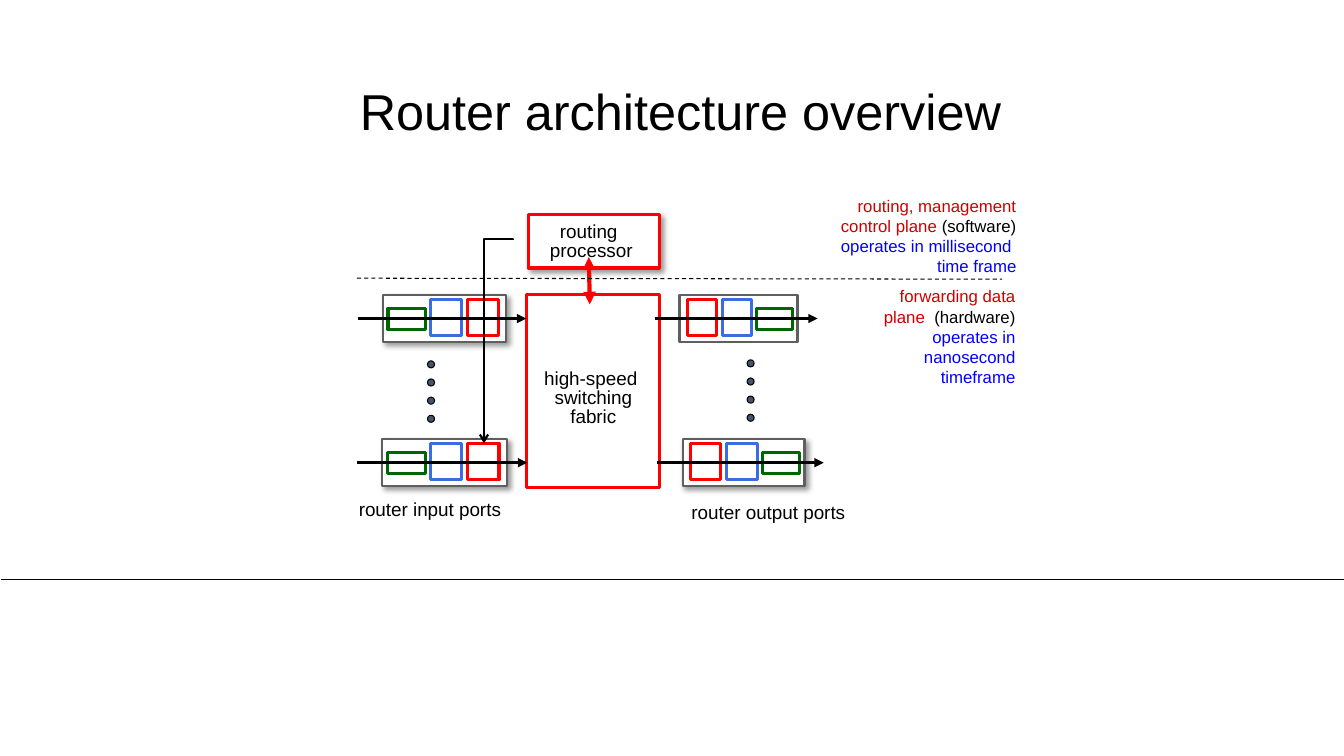
"""Build the router architecture overview slide."""
import pptx
import pptx.dml.color
import pptx.enum.dml
import pptx.enum.shapes
import pptx.enum.text
import pptx.oxml
import pptx.oxml.ns
import pptx.oxml.xmlchemy
import pptx.util

PX = 9144
RGB = pptx.dml.color.RGBColor
BLACK = RGB(0, 0, 0)
WHITE = RGB(255, 255, 255)
RED = RGB(255, 0, 0)
CRIMSON = RGB(0xCC, 0, 0)
BLUE = RGB(0, 0, 255)
STEEL = RGB(0x3C, 0x6C, 0xDF)
GREEN = RGB(0, 0x66, 0)
GREY = RGB(0x5F, 0x5F, 0x5F)
SLATE = RGB(0x44, 0x54, 0x6A)
SHAPE = pptx.enum.shapes.MSO_SHAPE
CONNECTOR = pptx.enum.shapes.MSO_CONNECTOR
ALIGN = pptx.enum.text.PP_ALIGN
ANCHOR = pptx.enum.text.MSO_ANCHOR
AUTO_SIZE = pptx.enum.text.MSO_AUTO_SIZE
DASH = pptx.enum.dml.MSO_LINE
SHADOW = (
    '<a:outerShdw %s blurRad="50800" dist="38100" dir="2700000" algn="tl" rotWithShape="0">'
    '<a:srgbClr val="000000"><a:alpha val="40000"/></a:srgbClr></a:outerShdw>'
    % pptx.oxml.ns.nsdecls("a")
)


def px(*lengths):
    """Turn px lengths into EMU."""
    return [pptx.util.Emu(round(length * PX)) for length in lengths]


def write_text(frame, paras, size=13.5, align=ALIGN.LEFT, spacing=None, wrap=False,
               anchor=ANCHOR.TOP, fit=AUTO_SIZE.SHAPE_TO_FIT_TEXT):
    """Fill a text frame with paragraphs, each a list of (text, colour) spans."""
    frame.word_wrap = wrap
    frame.auto_size = fit
    frame.vertical_anchor = anchor
    for index, spans in enumerate(paras):
        para = frame.paragraphs[0] if index == 0 else frame.add_paragraph()
        para.alignment = align
        if spacing:
            para.line_spacing = spacing
        for text, colour in spans:
            span = para.add_run()
            span.text = text
            span.font.name = "Arial"
            span.font.size = pptx.util.Pt(size)
            span.font.color.rgb = colour


def add_label(page, box, paras, **style):
    """Add a text box."""
    write_text(page.shapes.add_textbox(*px(*box)).text_frame, paras, **style)


def draw_shape(shapes, box, line, weight=2.25, kind=SHAPE.RECTANGLE, fill=WHITE, shadow=False):
    """Add a filled, outlined shape."""
    shape = shapes.add_shape(kind, *px(*box))
    shape.fill.solid()
    shape.fill.fore_color.rgb = fill
    shape.line.color.rgb = line
    shape.line.width = pptx.util.Pt(weight)
    shape.shadow.inherit = False
    if shadow:
        effects = shape._element.spPr.find(pptx.oxml.ns.qn("a:effectLst"))
        effects.append(pptx.oxml.parse_xml(SHADOW))


def draw_line(shapes, ends, colour=BLACK, weight=2.25, head=None, tail=None, dash=None,
              kind=CONNECTOR.STRAIGHT):
    """Add a connector with optional dash and arrowheads."""
    connector = shapes.add_connector(kind, *px(*ends))
    connector.line.color.rgb = colour
    connector.line.width = pptx.util.Pt(weight)
    if dash:
        connector.line.dash_style = dash
    properties = connector._element.spPr
    outline = properties.find(pptx.oxml.ns.qn("a:ln"))
    for tag, arrow in (("a:headEnd", head), ("a:tailEnd", tail)):
        if arrow:
            end = pptx.oxml.xmlchemy.OxmlElement(tag)
            end.set("type", arrow)
            outline.append(end)
    properties.append(pptx.oxml.xmlchemy.OxmlElement("a:effectLst"))
    return connector


def draw_title(page, box):
    """Place and format the title."""
    title = page.shapes.title
    title.left, title.top, title.width, title.height = px(*box)
    write_text(title.text_frame, [[("Router architecture overview", BLACK)]], size=36,
               align=ALIGN.CENTER, spacing=0.9, wrap=True, anchor=ANCHOR.MIDDLE,
               fit=AUTO_SIZE.NONE)


def draw_port(page, box, arrow, mirrored=False, shadow=True):
    """Draw a port with its three stages and the arrow through it."""
    left, top, width, height = box
    shapes = page.shapes.add_group_shape().shapes
    draw_shape(shapes, box, GREY, weight=1.5, shadow=shadow)
    scale = width / 124
    for offset, drop, wide, high, colour in (
            (5, 13, 38, 21, GREEN), (48, 4, 31, 36, STEEL), (85, 4, 31, 36, RED)):
        start = 124 - offset - wide if mirrored else offset
        draw_shape(shapes, (left + start * scale, top + drop, wide * scale, high), colour)
    middle = top + height / 2
    draw_line(shapes, (arrow[0], middle, arrow[1], middle), tail="triangle")


def draw_dots(page, left, top):
    """Draw a column of four dots."""
    for index in range(4):
        draw_shape(page.shapes, (left, top + 18 * index, 7, 7), BLACK, weight=0.75,
                   kind=SHAPE.OVAL, fill=SLATE)


def draw_core(page, left, top):
    """Draw the switching fabric below the routing processor."""
    draw_shape(page.shapes, (left, top + 79, 132, 192), RED)
    add_label(page, (left + 6, top + 149, 121, 68),
              [[(line, BLACK)] for line in ("high-speed ", "switching", "fabric")],
              align=ALIGN.CENTER, spacing=0.85)
    draw_shape(page.shapes, (left + 2, top, 130, 53), RED, shadow=True)
    add_label(page, (left + 13, top + 3, 103, 49),
              [[(line, BLACK)] for line in ("routing ", "processor")],
              align=ALIGN.CENTER, spacing=0.85)
    draw_line(page.shapes, (left + 62, top + 42, left + 63, top + 89), RED, 3,
              head="triangle", tail="triangle")


def draw_inputs(page, left, top):
    """Draw the input ports and their label."""
    draw_port(page, (left + 26, top, 122, 46), (left + 1, left + 168))
    draw_port(page, (left + 25, top + 143, 124, 46), (left, left + 169))
    draw_dots(page, left + 70, top + 65)
    add_label(page, (left - 8, top + 196, 169, 33), [[("router input ports", BLACK)]])


def draw_outputs(page, left, top):
    """Draw the output ports and their label."""
    draw_port(page, (left + 24, top, 117, 46), (left, left + 161), mirrored=True, shadow=False)
    draw_port(page, (left + 27, top + 143, 121, 46), (left + 2, left + 167), mirrored=True)
    draw_dots(page, left + 91, top + 64)
    add_label(page, (left + 26, top + 199, 182, 33), [[("router output ports", BLACK)]])


def draw_planes(page, left, top):
    """Draw the line between the planes and the notes on either side."""
    draw_line(page.shapes, (left, top, left + 640, top + 1), weight=0.75, dash=DASH.DASH)
    note = {"size": 12, "align": ALIGN.RIGHT, "wrap": True}
    add_label(page, (left + 484, top + 3, 179, 111),
              [[("forwarding data plane  ", CRIMSON), ("(hardware) ", BLACK),
                ("operates in nanosecond timeframe", BLUE)]], **note)
    add_label(page, (left + 428, top - 87, 236, 91),
              [[("routing, management", CRIMSON)],
               [("control plane ", CRIMSON), ("(software)", BLACK)],
               [("operates in millisecond ", BLUE)],
               [("time frame", BLUE)]], **note)


def draw_control_path(page, box):
    """Draw the elbow arrow from the processor to the input ports."""
    left, top, width, height = box
    middle, centre = left + width / 2, top + height / 2
    ends = (middle - height / 2, centre - width / 2, middle + height / 2, centre + width / 2)
    elbow = draw_line(page.shapes, ends, weight=1.5, tail="arrow", kind=CONNECTOR.ELBOW)
    properties = elbow._element.spPr
    properties.find(pptx.oxml.ns.qn("a:xfrm")).set("rot", "5400000")
    geometry = properties.find(pptx.oxml.ns.qn("a:prstGeom"))
    guide = pptx.oxml.xmlchemy.OxmlElement("a:gd")
    guide.set("name", "adj1")
    guide.set("fmla", "val -100")
    geometry.find(pptx.oxml.ns.qn("a:avLst")).append(guide)


def main():
    """Build and save the deck."""
    deck = pptx.Presentation()
    deck.slide_width, deck.slide_height = px(1333, 750)
    page = deck.slides.add_slide(deck.slide_layouts[5])
    draw_line(page.shapes, (1, 575, 1333, 575), weight=0.5)
    draw_title(page, (244, 77, 862, 73))
    draw_core(page, 522, 213)
    draw_inputs(page, 354, 293)
    draw_outputs(page, 650, 293)
    draw_planes(page, 354, 276)
    draw_control_path(page, (480, 237, 29, 203))
    deck.save("out.pptx")


if __name__ == "__main__":
    main()
